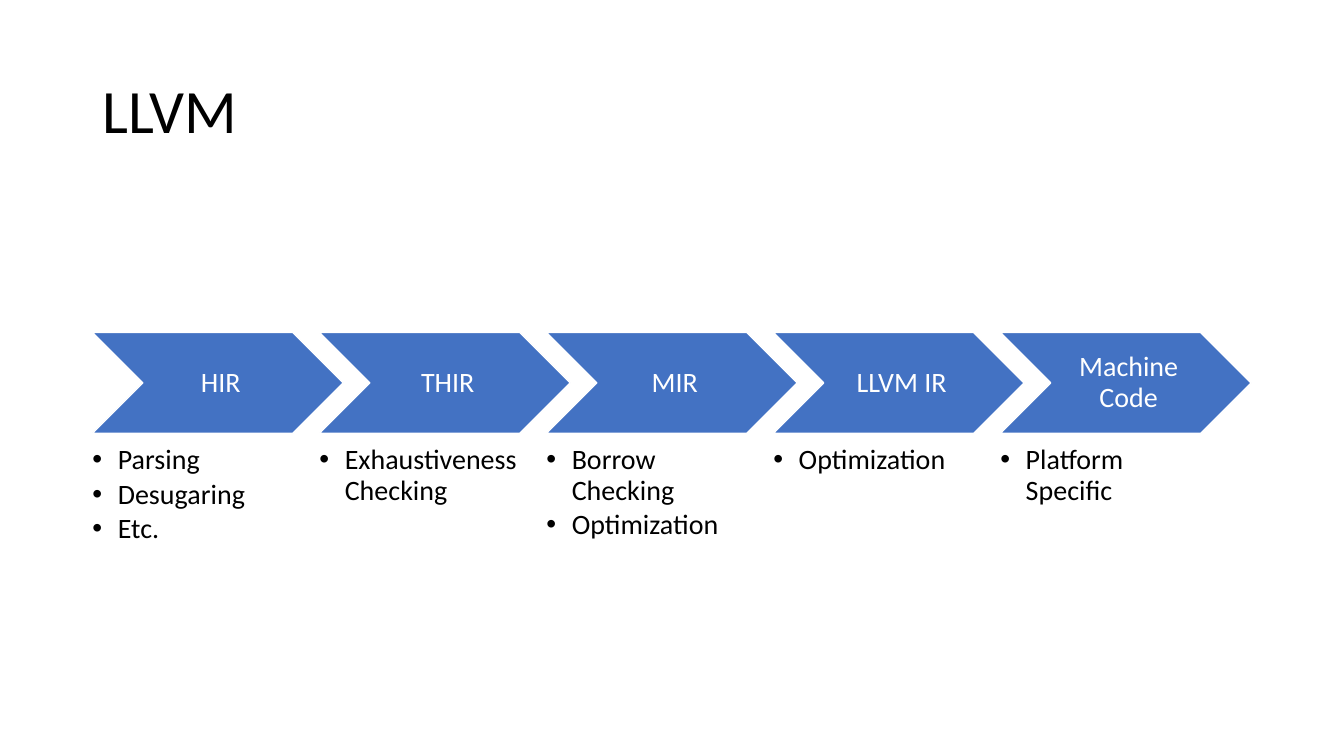
"""Build the LLVM slide: compiler stages as chevrons with their tasks below."""
from lxml import etree
from pptx import Presentation
from pptx import util as u
from pptx.dml.color import RGBColor
from pptx.enum import shapes, text
from pptx.oxml import ns

BLUE = RGBColor(0x43, 0x72, 0xC3)
WHITE = RGBColor(0xFF, 0xFF, 0xFF)
BLACK = RGBColor(0, 0, 0)

LEFT, PITCH = 2.33, 5.72
STAGES = [
    ("HIR", ["Parsing", "Desugaring", "Etc."]),
    ("THIR", ["Exhaustiveness Checking"]),
    ("MIR", ["Borrow Checking", "Optimization"]),
    ("LLVM IR", ["Optimization"]),
    ("Machine Code", ["Platform Specific"]),
]


class Deck:
    """Holds the text style and the current slide."""

    font = "Calibri"
    line_spacing = 0.9

    def __init__(self, slide):
        self.slide = slide

    def fill_text(self, frame, lines, size, color, insets, anchor, align):
        """Fill a text frame and format each of its paragraphs."""
        frame.text = "\n".join(lines)
        frame.word_wrap = True
        frame.auto_size = text.MSO_AUTO_SIZE.NONE
        frame.vertical_anchor = anchor
        (frame.margin_left, frame.margin_top,
         frame.margin_right, frame.margin_bottom) = map(u.Cm, insets)
        for paragraph in frame.paragraphs:
            paragraph.alignment = align
            paragraph.line_spacing = self.line_spacing
            for run in paragraph.runs:
                run.font.name = self.font
                run.font.size = u.Pt(size)
                run.font.color.rgb = color

    def text_box(self, box, lines, size, insets, anchor):
        """Add a left-aligned text box and return its frame."""
        frame = self.slide.shapes.add_textbox(*map(u.Cm, box)).text_frame
        self.fill_text(frame, lines, size, BLACK, insets, anchor,
                       text.PP_ALIGN.LEFT)
        return frame

    def title(self, box, heading):
        """Add the slide title."""
        self.text_box(box, [heading], 44, (0.25, 0.13, 0.25, 0.13),
                      text.MSO_ANCHOR.MIDDLE)

    def chevron(self, box, stage):
        """Add a labelled chevron."""
        arrow = self.slide.shapes.add_shape(
            shapes.MSO_SHAPE.CHEVRON, *map(u.Cm, box))
        arrow.adjustments[0] = 0.5
        arrow.shadow.inherit = False
        arrow.fill.solid()
        arrow.fill.fore_color.rgb = BLUE
        arrow.line.color.rgb = WHITE
        arrow.line.width = u.Pt(1)
        self.fill_text(arrow.text_frame, [stage], 20, WHITE,
                       (0.23, 0.08, 0.08, 0.08), text.MSO_ANCHOR.MIDDLE,
                       text.PP_ALIGN.CENTER)

    def bullets(self, box, tasks):
        """Add a bulleted list."""
        frame = self.text_box(box, tasks, 20, (0, 0, 0, 0),
                              text.MSO_ANCHOR.TOP)
        indent = u.Cm(0.64)
        for index, paragraph in enumerate(frame.paragraphs):
            paragraph.level = 1
            if index:
                paragraph.space_before = u.Pt(3)
            properties = paragraph._p.get_or_add_pPr()
            properties.set("marL", str(indent))
            properties.set("indent", str(-indent))
            tint = etree.SubElement(properties, ns.qn("a:buClr"))
            etree.SubElement(tint, ns.qn("a:srgbClr"), val=str(BLACK))
            etree.SubElement(properties, ns.qn("a:buFont"), typeface="Arial")
            etree.SubElement(properties, ns.qn("a:buChar"), char="•")


def main():
    """Draw the slide and save it."""
    presentation = Presentation()
    presentation.slide_width = u.Cm(33.87)
    presentation.slide_height = u.Cm(19.05)
    blank = presentation.slide_layouts[6]
    deck = Deck(presentation.slides.add_slide(blank))

    deck.title((LEFT, 1.02, 29.21, 3.68), "LLVM")
    for index, (stage, tasks) in enumerate(STAGES):
        left = LEFT + index * PITCH
        deck.chevron((left, 8.38, 6.32, 2.54), stage)
        deck.bullets((left, 11.23, 5.05, 2.62), tasks)

    presentation.save("out.pptx")


if __name__ == "__main__":
    main()
